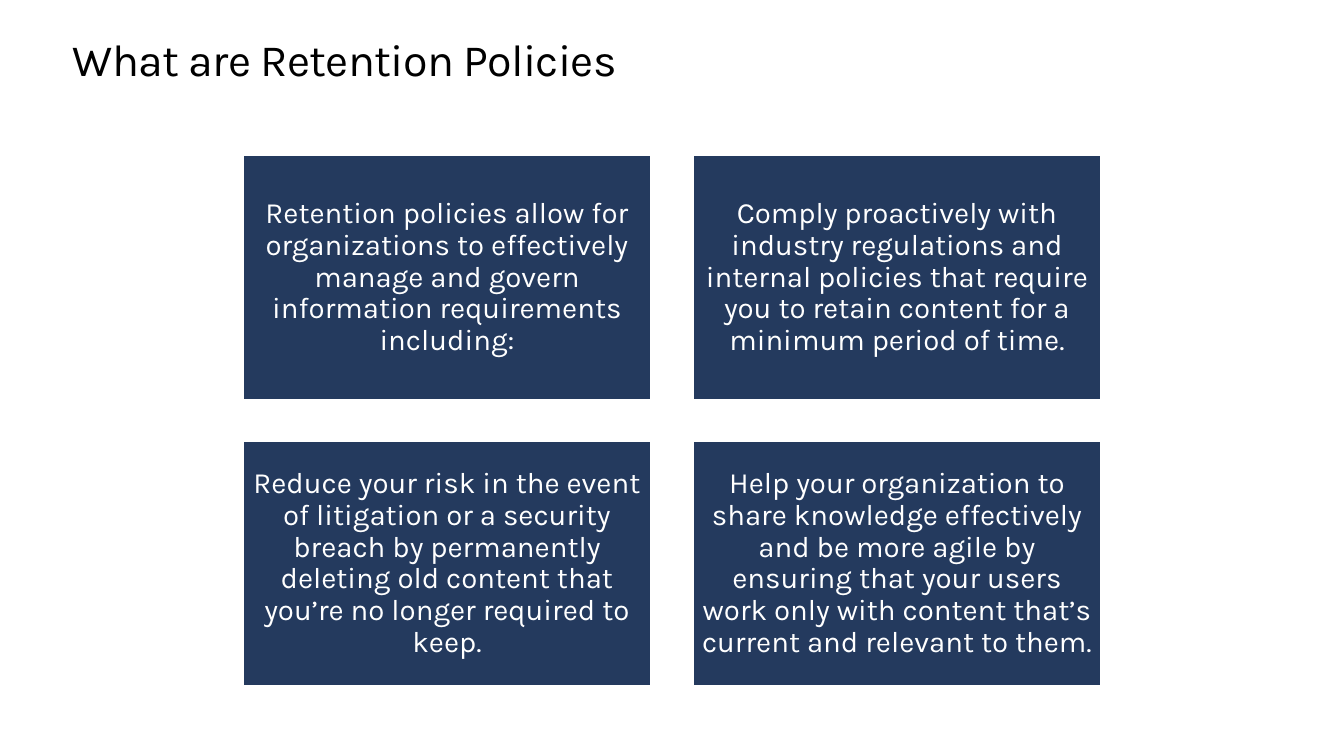
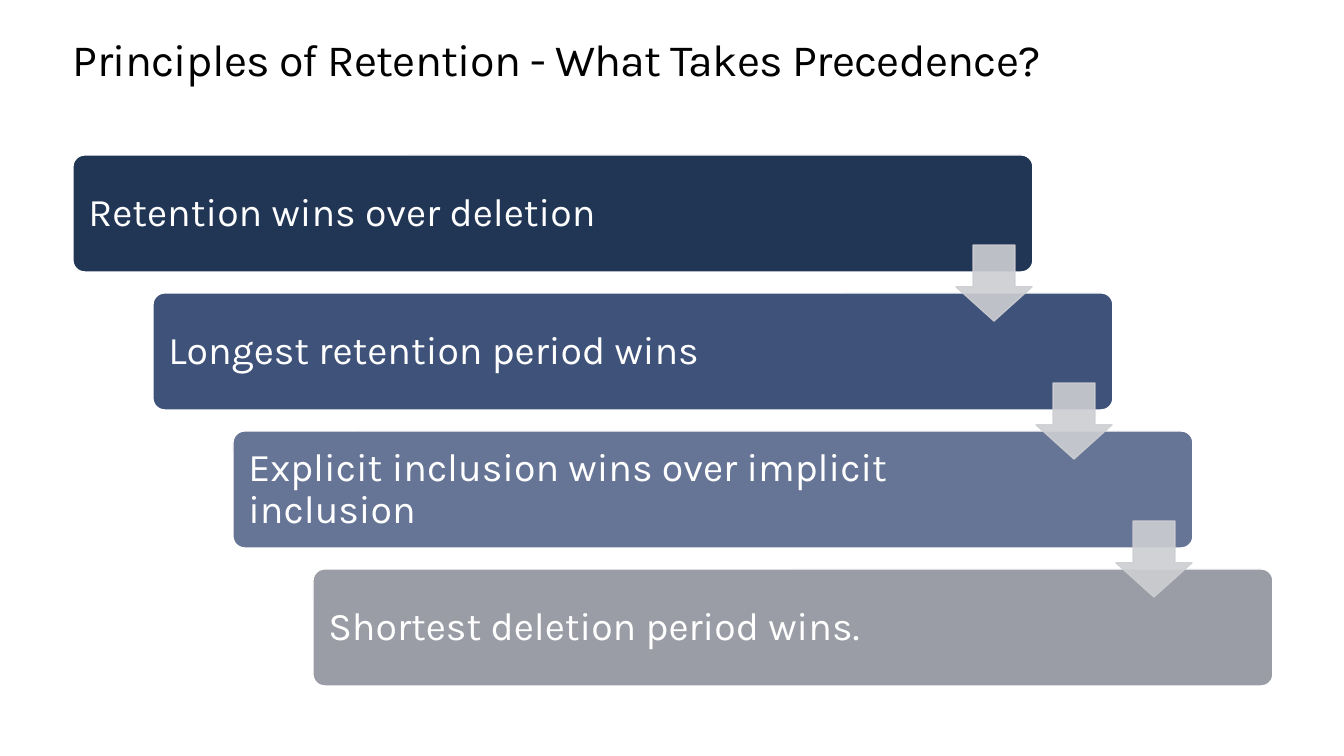
from pptx import Presentation
from pptx.dml.color import RGBColor
from pptx.enum.shapes import MSO_SHAPE as SHAPE
from pptx.enum.text import MSO_ANCHOR as ANCHOR, PP_ALIGN as ALIGN
from pptx.oxml.ns import qn
from pptx.util import Pt
from lxml.etree import SubElement

PX = 914400 / 100.8
FONT = "Karla"
BLACK = RGBColor(0x00, 0x00, 0x00)
WHITE = RGBColor(0xFF, 0xFF, 0xFF)
NAVY = RGBColor(0x24, 0x3A, 0x5E)
ARROW_GREY = RGBColor(0xCD, 0xCE, 0xD2)
STEP_COLOURS = (
    RGBColor(0x21, 0x35, 0x55),
    RGBColor(0x3F, 0x53, 0x7A),
    RGBColor(0x66, 0x75, 0x96),
    RGBColor(0x9A, 0x9D, 0xA5),
)

POLICIES_TITLE = "What are Retention Policies"
POLICIES = (
    "Retention policies allow for organizations to effectively manage and govern "
    "information requirements including:",
    "Comply proactively with industry regulations and internal policies that require "
    "you to retain content for a minimum period of time.",
    "Reduce your risk in the event of litigation or a security breach by permanently "
    "deleting old content that you’re no longer required to keep.",
    "Help your organization to share knowledge effectively and be more agile by ensuring "
    "that your users work only with content that’s current and relevant to them.",
)
PRINCIPLES_TITLE = "Principles of Retention - What Takes Precedence?"
PRINCIPLES = (
    "Retention wins over deletion",
    "Longest retention period wins",
    "Explicit inclusion wins over implicit inclusion",
    "Shortest deletion period wins.",
)

TITLE_BOX = (73, 35, 1200, 50)
TILE_BOX, TILE_PITCH, TILE_COLUMNS = (243, 155, 408, 245), (450, 286), 2
STEP_BOX, ARROW_BOX, STEP_PITCH = (73, 155, 960, 117), (956, 245, 76, 76), (80, 138)

TITLE_FORMAT = {
    "font": {"size": Pt(32), "color": BLACK},
    "paragraph": {"alignment": ALIGN.LEFT, "line_spacing": Pt(36.2)},
    "frame": {"vertical_anchor": ANCHOR.TOP},
    "insets": (0, 0, 0, 0),
}
TILE_FORMAT = {
    "font": {"size": Pt(21), "color": WHITE},
    "paragraph": {"alignment": ALIGN.CENTER, "line_spacing": 0.9},
    "frame": {"vertical_anchor": ANCHOR.MIDDLE},
    "insets": (9, 9, 9, 9),
}
STEP_FORMAT = {
    "font": {"size": Pt(28), "color": WHITE},
    "paragraph": {"alignment": ALIGN.LEFT, "line_spacing": 0.9},
    "frame": {"vertical_anchor": ANCHOR.MIDDLE},
    "insets": (12, 12, 169, 12),
}


def emu(lengths):
    return [round(length * PX) for length in lengths]


def shifted(box, pitch, column, row):
    left, top, width, height = box
    return left + column * pitch[0], top + row * pitch[1], width, height


def write(holder, text, style):
    frame = holder.text_frame
    frame.word_wrap = True
    sides = ("margin_left", "margin_top", "margin_right", "margin_bottom")
    margins = dict(zip(sides, emu(style["insets"])))
    paragraph = frame.paragraphs[0]
    run = paragraph.add_run()
    run.text = text
    run.font.name = FONT
    for target, values in (
        (frame, {**style["frame"], **margins}),
        (paragraph, style["paragraph"]),
        (run.font, {"size": style["font"]["size"]}),
    ):
        for name, value in values.items():
            setattr(target, name, value)
    run.font.color.rgb = style["font"]["color"]
    return run


def add_block(slide, preset, box, fill, line, adjustments=()):
    block = slide.shapes.add_shape(preset, *emu(box))
    block.shadow.inherit = False
    block.fill.solid()
    block.fill.fore_color.rgb = fill
    block.line.color.rgb = line
    block.line.width = Pt(1)
    for index, value in enumerate(adjustments):
        block.adjustments[index] = value
    return block


def add_titled_slide(deck, title):
    slide = deck.slides.add_slide(deck.slide_layouts[6])
    run = write(slide.shapes.add_textbox(*emu(TITLE_BOX)), title, TITLE_FORMAT)
    run._r.get_or_add_rPr().set("spc", "-50")
    return slide


def build_policies(deck):
    slide = add_titled_slide(deck, POLICIES_TITLE)
    for index, policy in enumerate(POLICIES):
        row, column = divmod(index, TILE_COLUMNS)
        box = shifted(TILE_BOX, TILE_PITCH, column, row)
        tile = add_block(slide, SHAPE.RECTANGLE, box, NAVY, WHITE)
        write(tile, policy, TILE_FORMAT)


def build_principles(deck):
    slide = add_titled_slide(deck, PRINCIPLES_TITLE)
    for index, (principle, colour) in enumerate(zip(PRINCIPLES, STEP_COLOURS)):
        box = shifted(STEP_BOX, STEP_PITCH, index, index)
        step = add_block(slide, SHAPE.ROUNDED_RECTANGLE, box, colour, WHITE, (0.1,))
        write(step, principle, STEP_FORMAT)
    for index in range(len(PRINCIPLES) - 1):
        box = shifted(ARROW_BOX, STEP_PITCH, index, index)
        arrow = add_block(slide, SHAPE.DOWN_ARROW, box, ARROW_GREY, ARROW_GREY)
        arrow.adjustments[0] = 0.45
        arrow.adjustments[1] = 0.55
        arrow.adjustments[0], arrow.adjustments[1] = 0.55, 0.45
        for colour in list(arrow._element.spPr.iter(qn("a:srgbClr"))):
            SubElement(colour, qn("a:alpha"), val="90000")


def main():
    deck = Presentation()
    deck.slide_width, deck.slide_height = emu((1344, 756))
    build_policies(deck)
    build_principles(deck)
    deck.save("out.pptx")


if __name__ == "__main__":
    main()
